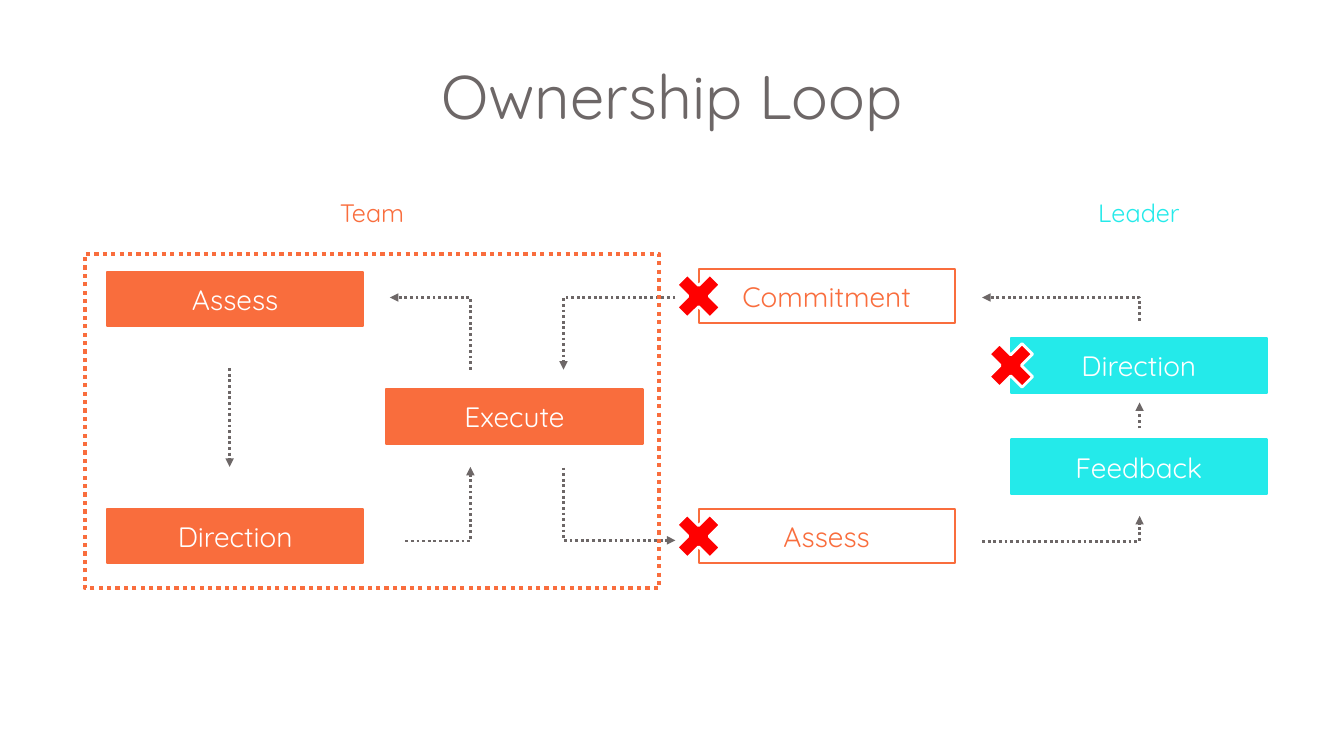
from dataclasses import dataclass

from pptx import Presentation
from pptx.dml.color import RGBColor
from pptx.enum.dml import MSO_LINE
from pptx.enum.shapes import MSO_CONNECTOR, MSO_SHAPE
from pptx.enum.text import MSO_ANCHOR, PP_ALIGN
from pptx.oxml.ns import qn
from pptx.util import Pt
from lxml.etree import SubElement


@dataclass(frozen=True)
class Theme:
    font: str = "Quicksand"
    gray: RGBColor = RGBColor(0x6D, 0x67, 0x67)
    orange: RGBColor = RGBColor(0xF9, 0x6D, 0x3D)
    cyan: RGBColor = RGBColor(0x24, 0xEA, 0xEA)
    white: RGBColor = RGBColor(0xFF, 0xFF, 0xFF)
    red: RGBColor = RGBColor(0xFF, 0x00, 0x00)
    title: Pt = Pt(44)
    box: Pt = Pt(20)
    label: Pt = Pt(18)


theme = Theme()


def write(sp, text, size, color):
    tf = sp.text_frame
    for name, value in {"word_wrap": True, "vertical_anchor": MSO_ANCHOR.MIDDLE}.items():
        setattr(tf, name, value)
    p = tf.paragraphs[0]
    p.alignment = PP_ALIGN.CENTER
    r = p.add_run()
    r.text = text
    for name, value in {"name": theme.font, "size": size}.items():
        setattr(r.font, name, value)
    r.font.color.rgb = color
    return p


def paint(sp, fill, line, width, dash=None):
    sp.shadow.inherit = False
    if fill is None:
        sp.fill.background()
    else:
        sp.fill.solid()
        sp.fill.fore_color.rgb = fill
    sp.line.color.rgb = line
    for name, value in {"width": Pt(width), "dash_style": dash}.items():
        setattr(sp.line, name, value)


prs = Presentation()
prs.slide_width, prs.slide_height = Pt(960), Pt(540)
s = prs.slides.add_slide(prs.slide_layouts[6])

labels = [
    ("Ownership Loop", 30, 36, 900, 70, theme.title, theme.gray),
    ("Team", 60.5, 137.5, 410.5, 29, theme.label, theme.orange),
    ("Leader", 722, 137.5, 183, 29, theme.label, theme.cyan),
]
for text, x, y, w, h, size, color in labels:
    sp = s.shapes.add_textbox(Pt(x), Pt(y), Pt(w), Pt(h))
    p = write(sp, text, size, color)
    if size == theme.title:
        p.line_spacing = 0.9

BOX_W, BOX_H, CROSS = 183, 39, 45.5
boxes = [
    ("Commitment", 499, 192, None, theme.orange, True),
    ("Assess", 499, 363.5, None, theme.orange, True),
    ("Execute", 276, 278, theme.orange, theme.orange, False),
    ("Direction", 722, 241.5, theme.cyan, theme.cyan, True),
    ("Feedback", 722, 314, theme.cyan, theme.cyan, False),
    ("Assess", 76.5, 194, theme.orange, theme.orange, False),
    ("Direction", 76.5, 363.5, theme.orange, theme.orange, False),
]
for text, x, y, fill, line, crossed in boxes:
    sp = s.shapes.add_shape(MSO_SHAPE.RECTANGLE, Pt(x), Pt(y), Pt(BOX_W), Pt(BOX_H))
    paint(sp, fill, line, 1.5)
    write(sp, text, theme.box, theme.white if fill else line)
    for side in ("left", "top", "right", "bottom"):
        setattr(sp.text_frame, f"margin_{side}", Pt(7.2))

TOP, BOTTOM = 212.5, 386.5
arrows = [
    [(701.5, BOTTOM), (814, BOTTOM), (814, 368.5)],
    [(814, 229), (814, TOP), (701.5, TOP)],
    [(814, 306), (814, 287.5)],
    [(482.5, TOP), (402.5, TOP), (402.5, 264)],
    [(402.5, 334), (402.5, 386), (482.5, 386)],
    [(336, 264), (336, TOP), (278.5, TOP)],
    [(164, 263), (164, 333.5)],
    [(289.5, BOTTOM), (336, BOTTOM), (336, 333.5)],
]
for route in arrows:
    points = [(Pt(x), Pt(y)) for x, y in route]
    if len(points) == 2:
        sp = s.shapes.add_connector(MSO_CONNECTOR.STRAIGHT, *points[0], *points[1])
        sp.line.color.rgb = theme.gray
        for name, value in {"width": Pt(2), "dash_style": MSO_LINE.ROUND_DOT}.items():
            setattr(sp.line, name, value)
        SubElement(sp.element.spPr, qn("a:effectLst"))
    else:
        builder = s.shapes.build_freeform(*points[0])
        builder.add_line_segments(points[1:], close=False)
        sp = builder.convert_to_shape()
        paint(sp, None, theme.gray, 2, MSO_LINE.ROUND_DOT)
    SubElement(sp.element.spPr.find(qn("a:ln")), qn("a:tailEnd"), type="triangle")

sp = s.shapes.add_shape(MSO_SHAPE.RECTANGLE, Pt(60.5), Pt(181.5), Pt(410.5), Pt(238.5))
paint(sp, None, theme.orange, 3, MSO_LINE.ROUND_DOT)

for text, x, y, fill, line, crossed in boxes:
    if crossed:
        left, top = x - CROSS / 2, y + (BOX_H - CROSS) / 2
        sp = s.shapes.add_shape(MSO_SHAPE.MATH_MULTIPLY, Pt(left), Pt(top), Pt(CROSS), Pt(CROSS))
        paint(sp, theme.red, theme.white, 2)

prs.save("out.pptx")
